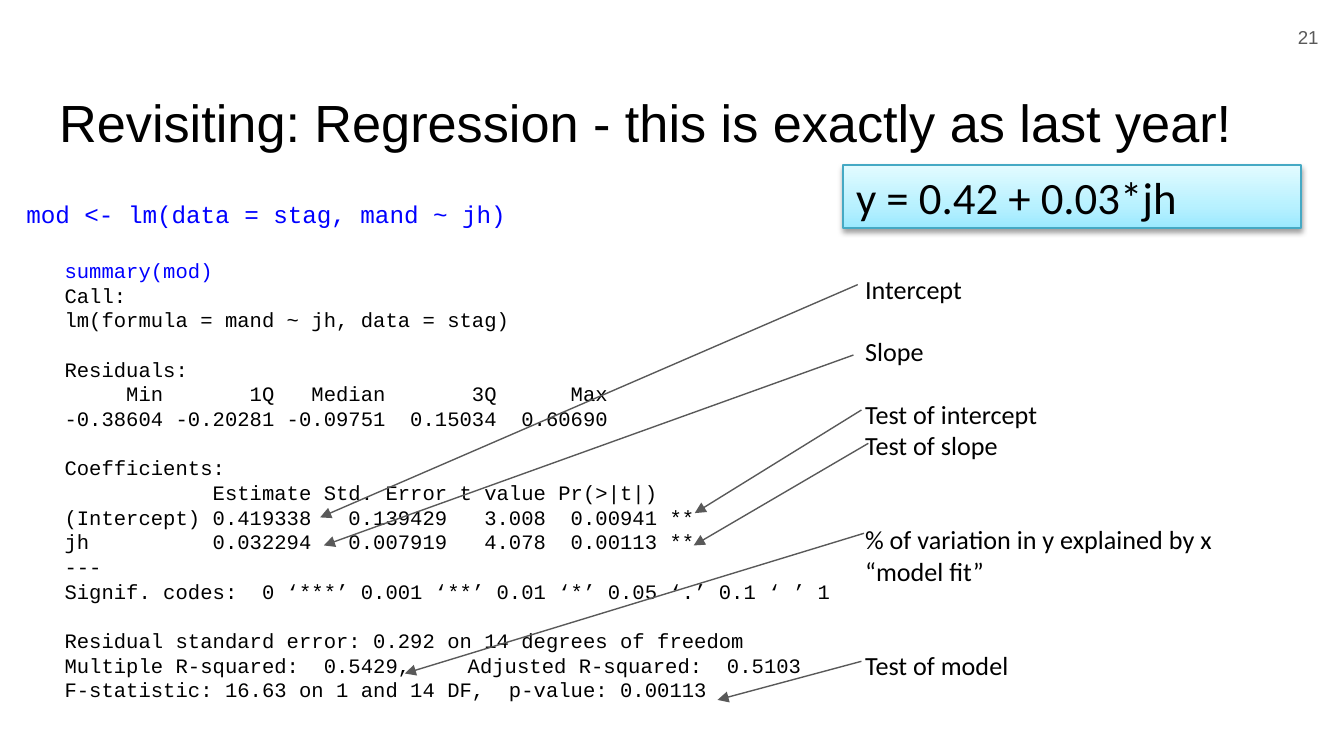
"""Build a slide that annotates the printed summary of a linear regression."""
from copy import deepcopy

from lxml import etree
from pptx import Presentation
from pptx.dml.color import RGBColor
from pptx.enum.shapes import MSO_CONNECTOR, MSO_SHAPE
from pptx.enum.text import MSO_ANCHOR, PP_ALIGN
from pptx.oxml.ns import qn
from pptx.util import Cm, Pt

RECTANGLE = MSO_SHAPE.RECTANGLE
STRAIGHT = MSO_CONNECTOR.STRAIGHT
TOP, MIDDLE = MSO_ANCHOR.TOP, MSO_ANCHOR.MIDDLE
LEFT, RIGHT = PP_ALIGN.LEFT, PP_ALIGN.RIGHT
BLACK, BLUE, GREY, WHITE = "000000", "0000FF", "595959", "FFFFFF"

SUMMARY = """summary(mod)
Call:
lm(formula = mand ~ jh, data = stag)

Residuals:
     Min       1Q   Median       3Q      Max
-0.38604 -0.20281 -0.09751  0.15034  0.60690

Coefficients:
            Estimate Std. Error t value Pr(>|t|)
(Intercept) 0.419338   0.139429   3.008  0.00941 **
jh          0.032294   0.007919   4.078  0.00113 **
---
Signif. codes:  0 ‘***’ 0.001 ‘**’ 0.01 ‘*’ 0.05 ‘.’ 0.1 ‘ ’ 1

Residual standard error: 0.292 on 14 degrees of freedom
Multiple R-squared:  0.5429,\tAdjusted R-squared:  0.5103
F-statistic: 16.63 on 1 and 14 DF,  p-value: 0.00113"""

EXPLANATIONS = """Intercept

Slope

Test of intercept
Test of slope


% of variation in y explained by x “model fit”


Test of model"""

ARROWS = [
    (16.28, 12.5, 13.56, 13.23),
    (16.33, 10.08, 7.65, 12.73),
    (16.41, 8.38, 13.11, 10.31),
    (16.28, 7.75, 13.13, 9.7),
    (16.13, 6.71, 6.12, 10.31),
    (16.21, 5.38, 6.05, 9.78),
]


def rgb(colour):
    return RGBColor.from_string(colour)


def add_box(place, text, font, size, colour=BLACK, anchor=TOP, align=LEFT,
            inset=0.13, pitch=None):
    box = slide.shapes.add_shape(RECTANGLE, *map(Cm, place))
    box.shadow.inherit = False
    box.fill.solid()
    box.fill.fore_color.rgb = rgb(WHITE)
    box.line.fill.background()
    frame = box.text_frame
    frame.word_wrap = True
    frame.vertical_anchor = anchor
    frame.margin_left = frame.margin_right = Cm(0.25)
    frame.margin_top = frame.margin_bottom = Cm(inset)
    paragraph, gap = frame.paragraphs[0], 0
    for number, line in enumerate(text.split("\n")):
        if not line:
            gap += 1
            continue
        if number:
            paragraph = frame.add_paragraph()
        paragraph.text = line
        paragraph.alignment = align
        if pitch:
            paragraph.line_spacing = Pt(pitch)
            paragraph.space_before = Pt(gap * pitch)
        gap = 0
        for run in paragraph.runs:
            run.font.name = font
            run.font.size = Pt(size)
            run.font.color.rgb = rgb(colour)
    return box


prs = Presentation()
prs.slide_width, prs.slide_height = Cm(25.4), Cm(14.29)
slide = prs.slides.add_slide(prs.slide_layouts[6])

summary = add_box((0.97, 4.75, 15.62, 8.71), SUMMARY, "Courier New", 11, pitch=13.2)
summary.text_frame.paragraphs[0].runs[0].font.color.rgb = rgb(BLUE)

title = add_box((0.87, 1.45, 23.67, 1.6),
                "Revisiting: Regression - this is exactly as last year!",
                "Arial", 28, inset=0.25)
page_number = add_box((23.65, 0.15, 1.52, 1.09), "21", "Arial", 10, GREY,
                      anchor=MIDDLE, align=RIGHT, inset=0.25)
for plain in (title, page_number):
    plain.fill.background()

add_box((16.1, 5.03, 7.29, 7.75), EXPLANATIONS, "Calibri", 14, pitch=16.8)

for ends in ARROWS:
    arrow = slide.shapes.add_connector(STRAIGHT, *map(Cm, ends))
    arrow.line.color.rgb = rgb(GREY)
    arrow.line.width = Pt(0.75)
    properties = arrow.element.spPr
    etree.SubElement(properties.find(qn("a:ln")), qn("a:tailEnd"), type="triangle")
    etree.SubElement(properties, qn("a:effectLst"))

equation = add_box((15.93, 3.12, 8.66, 1.19), "y = 0.42 + 0.03*jh", "Calibri", 24,
                   anchor=MIDDLE)
equation.line.color.rgb = rgb("45A9C4")
equation.line.width = Pt(0.75)
equation.fill.gradient()
equation.fill.gradient_angle = 90
properties = equation.element.spPr
stops = properties.find(".//" + qn("a:gsLst"))
stops.append(deepcopy(stops[0]))
shades = [(0, "9BE9FF"), (0.35, "B8F1FF"), (1, "E2FBFF")]
for stop, (position, shade) in zip(equation.fill.gradient_stops, shades):
    stop.position = position
    stop.color.rgb = rgb(shade)
shadow = etree.SubElement(properties.find(qn("a:effectLst")), qn("a:outerShdw"),
                          blurRad=str(Pt(3.1)), dist=str(Pt(1.6)), dir="5400000",
                          rotWithShape="0")
shadow_colour = etree.SubElement(shadow, qn("a:srgbClr"), val=BLACK)
etree.SubElement(shadow_colour, qn("a:alpha"), val="38000")

add_box((0.25, 3.63, 11.23, 1.12), "mod <- lm(data = stag, mand ~ jh)",
        "Courier New", 13, BLUE)

prs.save("out.pptx")
